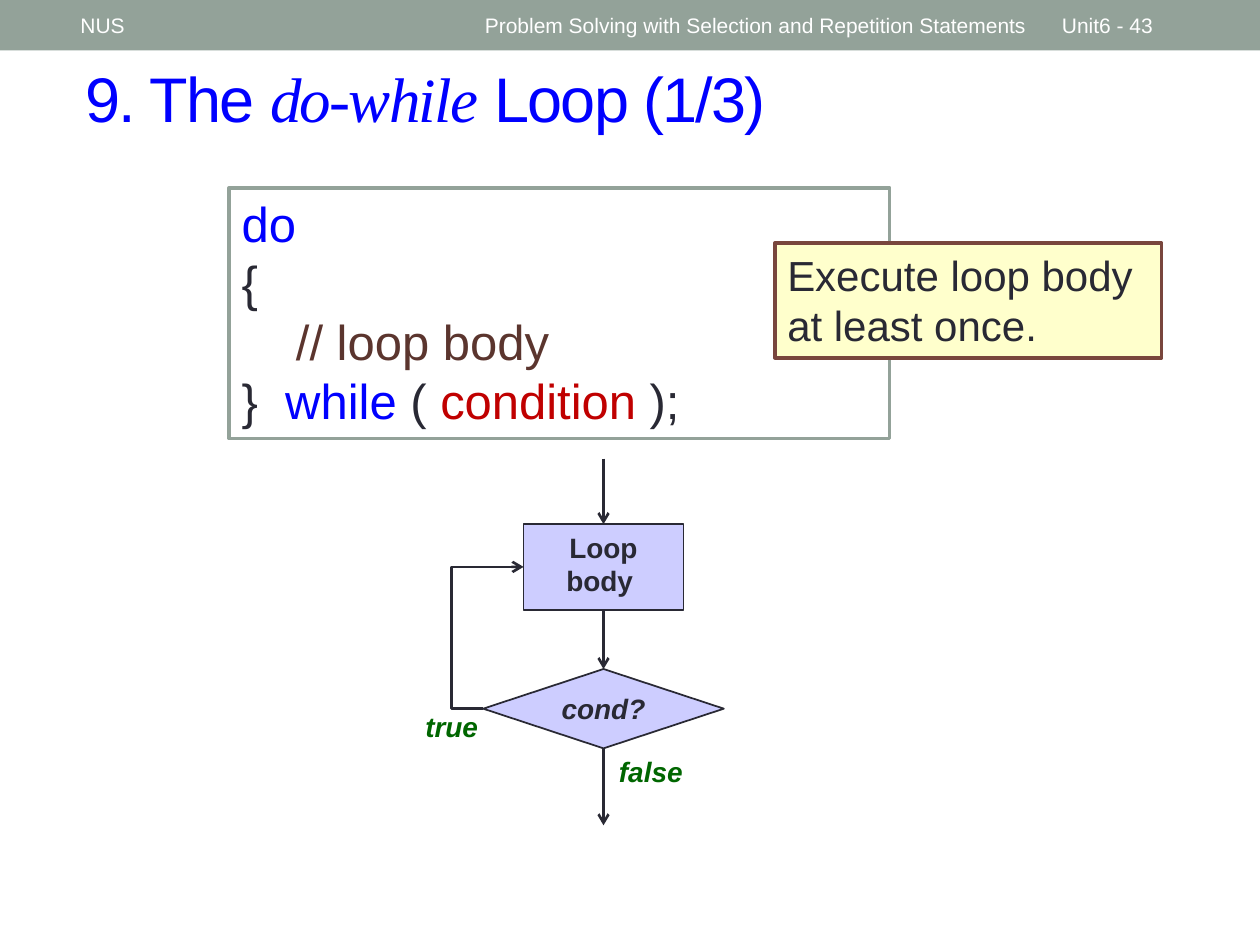
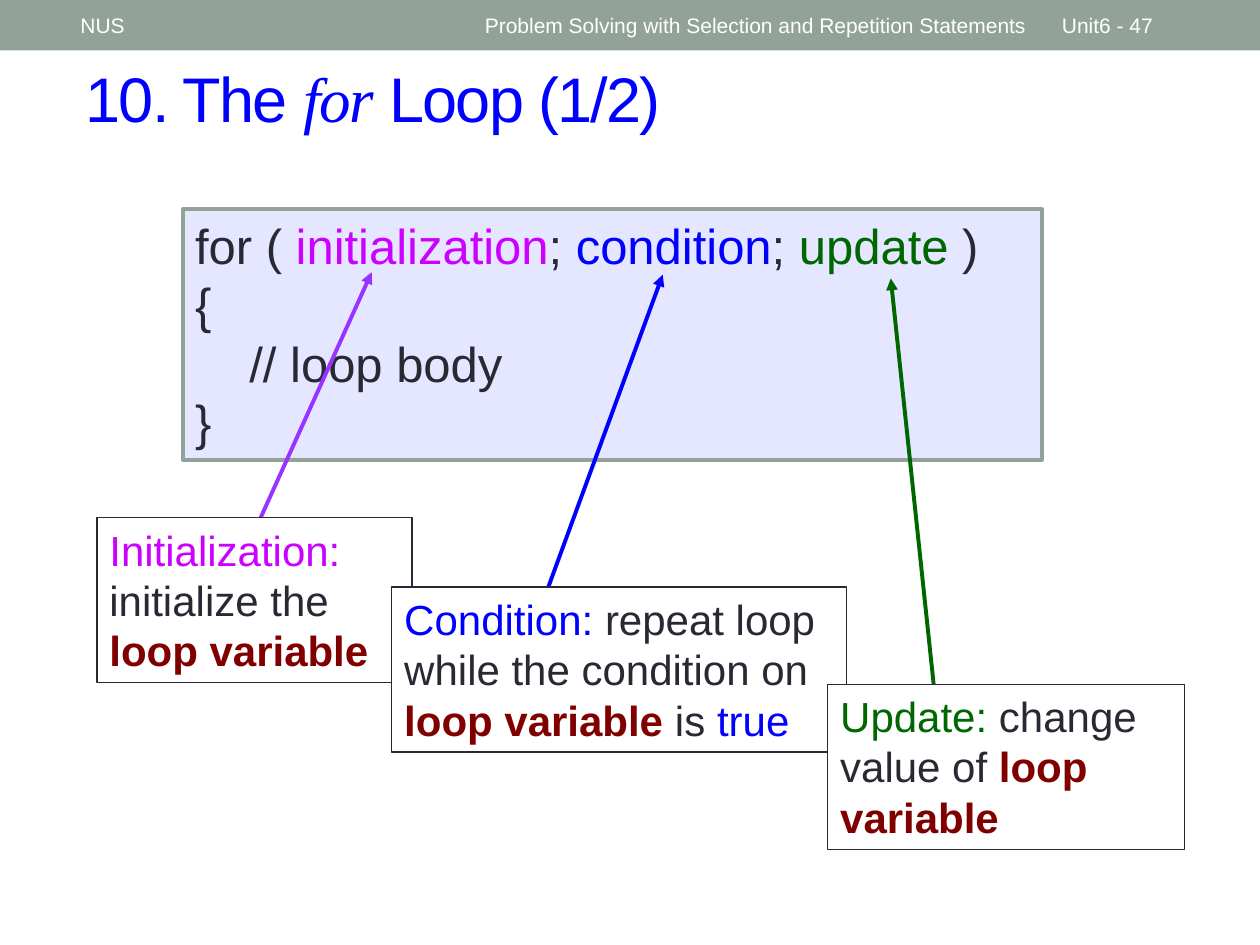
from lxml import etree
from pptx import Presentation
from pptx.dml.color import RGBColor
from pptx.enum.shapes import MSO_CONNECTOR, MSO_SHAPE
from pptx.enum.text import MSO_ANCHOR, MSO_AUTO_SIZE, PP_ALIGN
from pptx.oxml.ns import qn
from pptx.util import Inches, Pt

RECT = MSO_SHAPE.RECTANGLE
PROCESS = MSO_SHAPE.FLOWCHART_PROCESS
CHOICE = MSO_SHAPE.FLOWCHART_DECISION
STRAIGHT, ELBOW = MSO_CONNECTOR.STRAIGHT, MSO_CONNECTOR.ELBOW
TOP, MIDDLE = MSO_ANCHOR.TOP, MSO_ANCHOR.MIDDLE
LEFT, CENTER = PP_ALIGN.LEFT, PP_ALIGN.CENTER

WIDTH, HEIGHT = Inches(10), Inches(7.5)
COLS, ROWS = 100, 75
SANS, SERIF = "Arial", "Times New Roman"

WHITE = RGBColor(0xFF, 0xFF, 0xFF)
SAGE = RGBColor(0x93, 0xA2, 0x99)
INK = RGBColor(0x29, 0x29, 0x34)
BLUE = RGBColor(0x00, 0x00, 0xFF)
BROWN = RGBColor(0x5B, 0x35, 0x2E)
RUST = RGBColor(0x79, 0x46, 0x3D)
RED = RGBColor(0xC0, 0x00, 0x00)
MAROON = RGBColor(0x80, 0x00, 0x00)
GREEN = RGBColor(0x00, 0x66, 0x00)
PINK = RGBColor(0xCC, 0x00, 0xFF)
PURPLE = RGBColor(0x99, 0x33, 0xFF)
CREAM = RGBColor(0xFF, 0xFF, 0xCC)
LILAC = RGBColor(0xCD, 0xCD, 0xFF)
PALE = RGBColor(0xE5, 0xE6, 0xFF)

COURSE = "Problem Solving with Selection and Repetition Statements"
AXIS = 47.9


def grid(*spots):
    """Turn alternating columns and rows into slide lengths."""
    units = (WIDTH / COLS, HEIGHT / ROWS)
    return [round(spot * units[i % 2]) for i, spot in enumerate(spots)]


def write(frame, paras, size, color=INK, align=LEFT, anchor=TOP,
          bold=None, italic=None):
    """Fill a frame; each paragraph is a string or a list of (text, color, bold)."""
    frame.word_wrap = True
    frame.vertical_anchor = anchor
    for i, parts in enumerate(paras):
        para = frame.add_paragraph() if i else frame.paragraphs[0]
        para.alignment = align
        font = para.font
        font.name, font.size = SANS, Pt(size)
        font.bold, font.italic = bold, italic
        font.color.rgb = color
        if isinstance(parts, str):
            parts = [(parts,)]
        for text, *look in parts:
            run = para.add_run()
            run.text = text
            if look:
                run.font.color.rgb = look[0]
            if look[1:]:
                run.font.bold = look[1]


def label(slide, box, text, size, **look):
    """Add plain text without an outline."""
    frame = slide.shapes.add_textbox(*grid(*box)).text_frame
    write(frame, [text], size, **look)


def panel(slide, box, fill, edge=None, width=1.0, kind=RECT):
    """Add a filled shape, with an outline if an edge color is given."""
    shape = slide.shapes.add_shape(kind, *grid(*box))
    shape.shadow.inherit = False
    shape.fill.solid()
    shape.fill.fore_color.rgb = fill
    if edge is None:
        shape.line.fill.background()
    else:
        shape.line.color.rgb = edge
        shape.line.width = Pt(width)
    return shape


def arrow(slide, ends, color=INK, width=1.5, head="arrow", kind=STRAIGHT):
    """Add a connector with an arrowhead at its end."""
    link = slide.shapes.add_connector(kind, *grid(*ends))
    link.line.color.rgb = color
    link.line.width = Pt(width)
    props = link.element.spPr
    etree.SubElement(props.find(qn("a:ln")), qn("a:tailEnd"), type=head)
    etree.SubElement(props, qn("a:effectLst"))
    return link


def bend(link, share):
    """Move the elbow of a bent connector to a share of its width."""
    shape = link.element.spPr.find(qn("a:prstGeom"))
    guides = shape.find(qn("a:avLst"))
    if guides is None:
        guides = etree.SubElement(shape, qn("a:avLst"))
    etree.SubElement(guides, qn("a:gd"), name="adj1",
                     fmla=f"val {round(share * 100000)}")


def header(slide, page):
    """Add the top band with its three captions."""
    panel(slide, (0, 0, COLS, 4), SAGE)
    captions = [(5.4, 31.3, "NUS"), (37.5, 45, COURSE),
                (83.3, 11.7, f"Unit6 - {page}")]
    for left, width, text in captions:
        label(slide, (left, 0.2, width, 3.6), text, 12,
              color=WHITE, anchor=MIDDLE)


def heading(slide, before, word, after):
    """Fill the title, with the keyword in serif italics."""
    title = slide.shapes.title
    title.left, title.top, title.width, title.height = grid(5.8, 4.2, 91.7, 9.2)
    frame = title.text_frame
    write(frame, [[(before,), (word,), (after,)]], 36, BLUE)
    frame.auto_size = MSO_AUTO_SIZE.NONE
    runs = frame.paragraphs[0].runs
    for run in runs:
        run.font.color.rgb = BLUE
        run.font.size = Pt(36)
        run.font.name = SANS
        run.font._element.set("spc", "-100")
    runs[1].font.name, runs[1].font.italic = SERIF, True


def start(deck, page, *title):
    """Add a slide with header and title."""
    slide = deck.slides.add_slide(deck.slide_layouts[5])
    header(slide, page)
    heading(slide, *title)
    return slide


def flow(slide):
    """Draw the flowchart of the do-while loop."""
    body = panel(slide, (AXIS - 6.35, 41.6, 12.7, 6.8), LILAC, INK, kind=PROCESS)
    write(body.text_frame, ["Loop", "body "], 16, align=CENTER, bold=True)
    test = panel(slide, (AXIS - 9.55, 53.1, 19.1, 6.3), LILAC, INK, kind=CHOICE)
    frame = test.text_frame
    frame.margin_left = frame.margin_right = 0
    write(frame, ["cond?"], 16, align=CENTER, anchor=MIDDLE,
          bold=True, italic=True)

    arrow(slide, (AXIS, 36.4, AXIS, 41.6)).end_connect(body, 0)
    down = arrow(slide, (AXIS, 48.4, AXIS, 53.1))
    down.begin_connect(body, 2)
    down.end_connect(test, 0)
    arrow(slide, (AXIS, 59.4, AXIS, 65.5)).begin_connect(test, 2)
    back = arrow(slide, (AXIS - 9.55, 56.25, AXIS - 6.35, 45), kind=ELBOW)
    bend(back, -0.78)

    for left, top, width, text in [(31.1, 55.8, 9.5, "true"),
                                   (47.4, 59.4, 8.5, "false")]:
        label(slide, (left, top, width, 3.7), text, 16, color=GREEN,
              align=CENTER, bold=True, italic=True)


def note(slide, box, parts, ends, color):
    """Add a boxed note with an arrow to the code it explains."""
    arrow(slide, ends, color, 2.25, "triangle")
    card = panel(slide, box, WHITE, INK, 0.75)
    write(card.text_frame, [parts], 24)


def do_while(deck):
    """Build the do-while slide."""
    slide = start(deck, 43, "9. The ", "do-while", " Loop (1/3)")
    code = panel(slide, (18.2, 14.9, 52.4, 19.9), WHITE, SAGE, 2.08)
    write(code.text_frame, [
        [("do", BLUE)],
        "{",
        [("    // loop body", BROWN)],
        [("}  ",), ("while", BLUE), (" ( ",), ("condition ", RED), (");",)],
    ], 28)
    tip = panel(slide, (61.5, 19.3, 30.7, 9.1), CREAM, RUST, 2.08)
    write(tip.text_frame, ["Execute loop body at least once."], 24)
    flow(slide)


def for_loop(deck):
    """Build the for slide."""
    slide = start(deck, 47, "10. The ", "for", " Loop (1/2)")
    code = panel(slide, (14.5, 16.6, 68.2, 19.9), PALE, SAGE, 2.08)
    write(code.text_frame, [
        [("for ( ",), ("initialization", PINK), ("; ",), ("condition", BLUE),
         ("; ",), ("update", GREEN), (" )",)],
        "{",
        "    // loop body",
        "}",
    ], 28)
    note(slide, (7.7, 41.1, 25, 13.1),
         [("Initialization: ", PINK), ("initialize the ",),
          ("loop variable", MAROON, True)],
         (20.5, 41.5, 29.5, 21.6), PURPLE)
    note(slide, (31.1, 46.6, 36.1, 13.1),
         [("Condition: ", BLUE), ("repeat loop while the condition on ",),
          ("loop variable ", MAROON, True), ("is ",), ("true", BLUE)],
         (42.2, 50.2, 52.6, 21.8), BLUE)
    note(slide, (65.7, 54.3, 28.3, 13.1),
         [("Update: ", GREEN), ("change value of ",),
          ("loop variable", MAROON, True)],
         (74.1, 54.3, 70.7, 22.1), GREEN)


def main():
    """Build and save the deck."""
    deck = Presentation()
    deck.slide_width, deck.slide_height = WIDTH, HEIGHT
    do_while(deck)
    for_loop(deck)
    deck.save("out.pptx")


if __name__ == "__main__":
    main()
